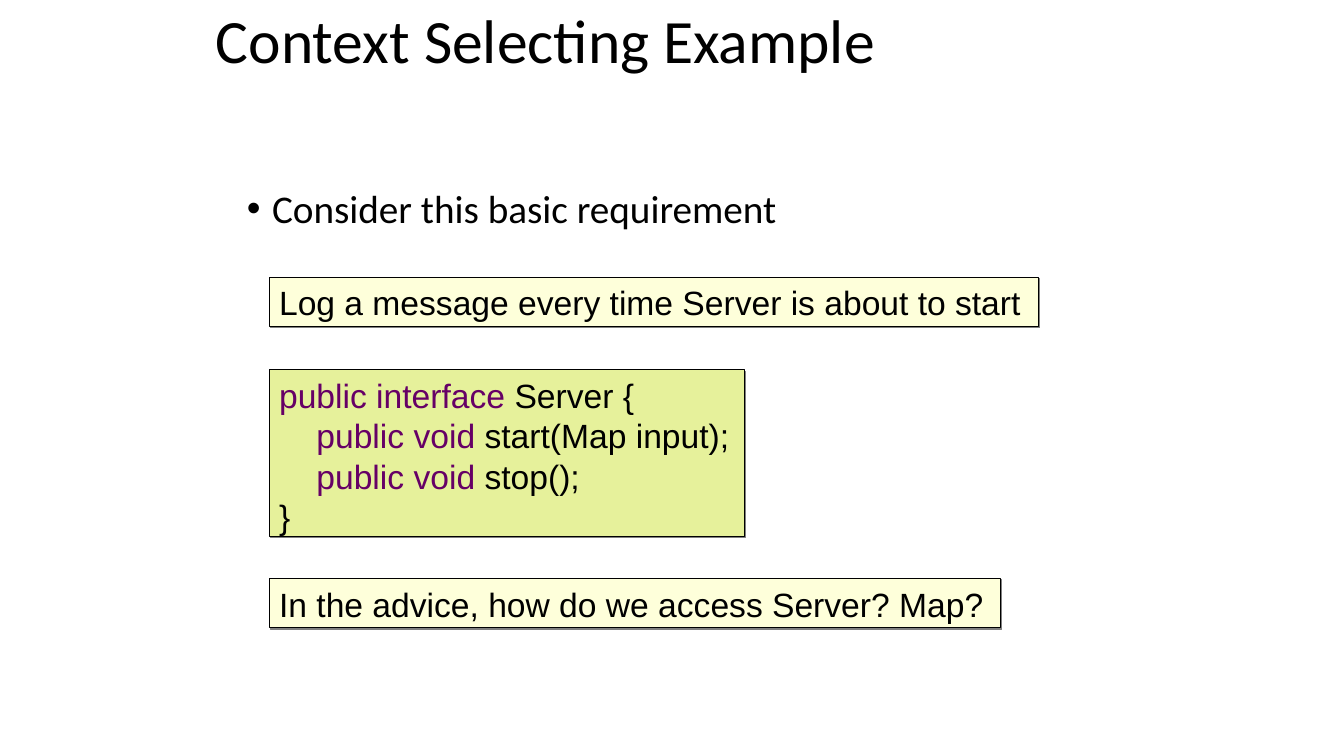
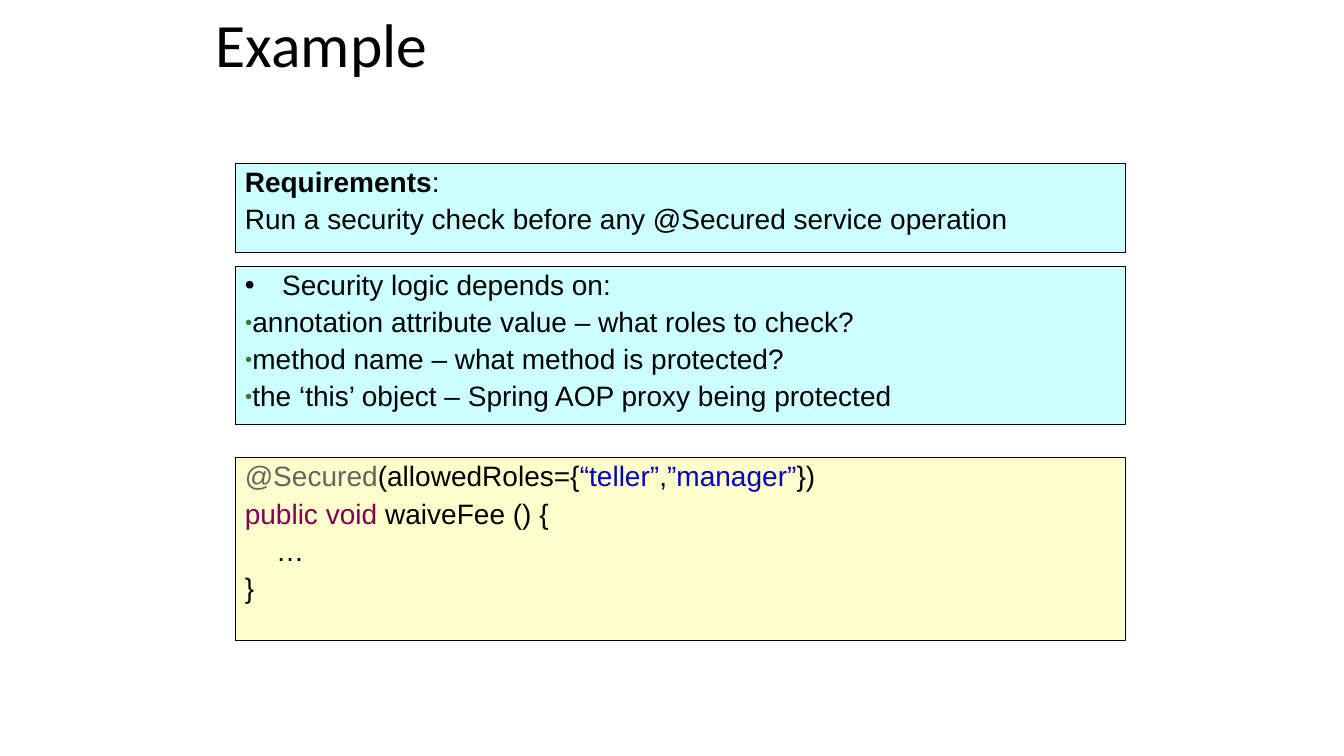
from lxml import etree
from pptx import Presentation
from pptx.dml.color import RGBColor
from pptx.enum import shapes, text
from pptx.oxml import ns
from pptx.util import Inches, Pt

BLACK = RGBColor(0x00, 0x00, 0x00)
GREY = RGBColor(0x80, 0x80, 0x80)
CREAM = RGBColor(0xFE, 0xFF, 0xDA)
LIME = RGBColor(0xE6, 0xF1, 0x9B)
CYAN = RGBColor(0xCC, 0xFF, 0xFF)
YELLOW = RGBColor(0xFF, 0xFF, 0xCC)
PURPLE = RGBColor(0x66, 0x00, 0x66)
PLUM = RGBColor(0x7F, 0x00, 0x55)
BLUE = RGBColor(0x00, 0x00, 0xC0)
SLATE = RGBColor(0x64, 0x64, 0x64)
GREEN = RGBColor(0x42, 0x75, 0x31)

HEAD = "Calibri"
BODY = "Arial"


def add_sub(parent, tag, **attrs):
    """Append one drawing element and return it."""
    item = etree.SubElement(parent, ns.qn(tag))
    for name, value in attrs.items():
        item.set(name, str(value))
    return item


def set_bullet(para, char, color, size):
    """Give a paragraph a bullet; size is a percentage of the text."""
    props = para._p.get_or_add_pPr()
    add_sub(add_sub(props, "a:buClr"), "a:srgbClr", val=color)
    add_sub(props, "a:buSzPct", val=size * 1000)
    add_sub(props, "a:buFont", typeface=BODY)
    add_sub(props, "a:buChar", char=char)


def write(frame, lines, font=BODY, size=24, space=1.0, before=0):
    """Fill a text frame; a line is a string or (runs, options)."""
    frame.word_wrap = True
    frame.auto_size = text.MSO_AUTO_SIZE.NONE
    frame.vertical_anchor = text.MSO_ANCHOR.TOP
    for i, line in enumerate(lines):
        runs, opts = ([(line,)], {}) if isinstance(line, str) else line
        para = frame.paragraphs[0] if i == 0 else frame.add_paragraph()
        para.alignment = text.PP_ALIGN.LEFT
        para.line_spacing = space
        para.space_before = Pt(before)
        props = para._p.get_or_add_pPr()
        hang = Inches(opts.get("hang", 0))
        props.set("marL", str(hang + Inches(opts.get("indent", 0))))
        props.set("indent", str(-hang))
        if "bullet" in opts:
            set_bullet(para, *opts["bullet"])
        for words, *style in runs:
            run = para.add_run()
            run.text = words
            run.font.name = font
            run.font.size = Pt(size)
            run.font.color.rgb = style[0] if style else BLACK
            run.font.bold = len(style) > 1 and style[1]


def add_slide(deck, title, top):
    """Add a title-only slide with its title in place."""
    slide = deck.slides.add_slide(deck.slide_layouts[5])
    head = slide.shapes.title
    head.left, head.top = Inches(2.04), Inches(top)
    head.width, head.height = Inches(6.88), Inches(0.77)
    write(head.text_frame, [title], font=HEAD, size=44, space=0.9)
    return slide


def add_box(slide, place, fill, lines, edge=0.5, shadow=False, **style):
    """Add a thinly outlined box of text, with an optional hard shadow."""
    box = slide.shapes.add_shape(shapes.MSO_SHAPE.RECTANGLE,
                                 *[Inches(n) for n in place])
    box.fill.solid()
    box.fill.fore_color.rgb = fill
    box.line.color.rgb = BLACK
    box.line.width = Pt(edge)
    box.shadow.inherit = False
    if shadow:
        effects = box._element.spPr.find(ns.qn("a:effectLst"))
        drop = add_sub(effects, "a:outerShdw", blurRad=0, dist=Pt(1.4),
                       dir=45 * 60000, algn="ctr", rotWithShape=0)
        add_sub(drop, "a:srgbClr", val=GREY)
    write(box.text_frame, lines, **style)


def add_context(deck):
    """Build the slide on selecting context."""
    slide = add_slide(deck, "Context Selecting Example", 0.05)
    lead = slide.shapes.add_textbox(Inches(2.35), Inches(1.83),
                                    Inches(8.6), Inches(0.8))
    point = ([("Consider this basic requirement",)],
             {"hang": 0.25, "bullet": ("•", BLACK, 100)})
    write(lead.text_frame, [point], font=HEAD, size=28, space=0.9, before=10)

    code = [([("public interface", PURPLE), (" Server {",)], {})]
    for call in (" start(Map input);", " stop();"):
        code.append(([("public void", PURPLE), (call,)], {"indent": 0.37}))
    code.append("}")
    boxes = [
        (2.75, 7.63, 0.49, CREAM,
         ["Log a message every time Server is about to start"]),
        (3.67, 4.71, 1.65, LIME, code),
        (5.74, 7.25, 0.49, CREAM,
         ["In the advice, how do we access Server? Map?"]),
    ]
    for top, width, height, fill, lines in boxes:
        add_box(slide, (2.67, top, width, height), fill, lines,
                edge=0.75, shadow=True)


def add_example(deck):
    """Build the slide on the security check."""
    slide = add_slide(deck, "Example", 0.09)
    needs = [
        ([("Requirements", BLACK, True), (":",)], {}),
        "Run a security check before any @Secured service operation",
    ]
    logic = [([("Security logic depends on:",)],
              {"hang": 0.37, "bullet": ("•", BLACK, 100)})]
    for item in ("annotation attribute value – what roles to check?",
                 "method name – what method is protected?",
                 "the ‘this’ object – Spring AOP proxy being protected"):
        logic.append(([(item,)], {"bullet": ("●", GREEN, 45)}))
    code = [
        ([("@Secured", SLATE), ("(allowedRoles={",), ("“teller”", BLUE),
          (",",), ("”manager”", BLUE), ("})",)], {}),
        ([("public void", PLUM), (" waiveFee () {",)], {}),
        ([("…",)], {"indent": 0.31}),
        "}",
    ]
    boxes = [(1.62, 0.88, CYAN, needs), (2.64, 1.57, CYAN, logic),
             (4.54, 1.81, YELLOW, code)]
    for top, height, fill, lines in boxes:
        add_box(slide, (2.33, top, 8.83, height), fill, lines,
                size=20, space=0.9, before=5)


def main():
    """Build and save the deck."""
    deck = Presentation()
    deck.slide_width, deck.slide_height = Inches(13.33), Inches(7.5)
    add_context(deck)
    add_example(deck)
    deck.save("out.pptx")


main()
